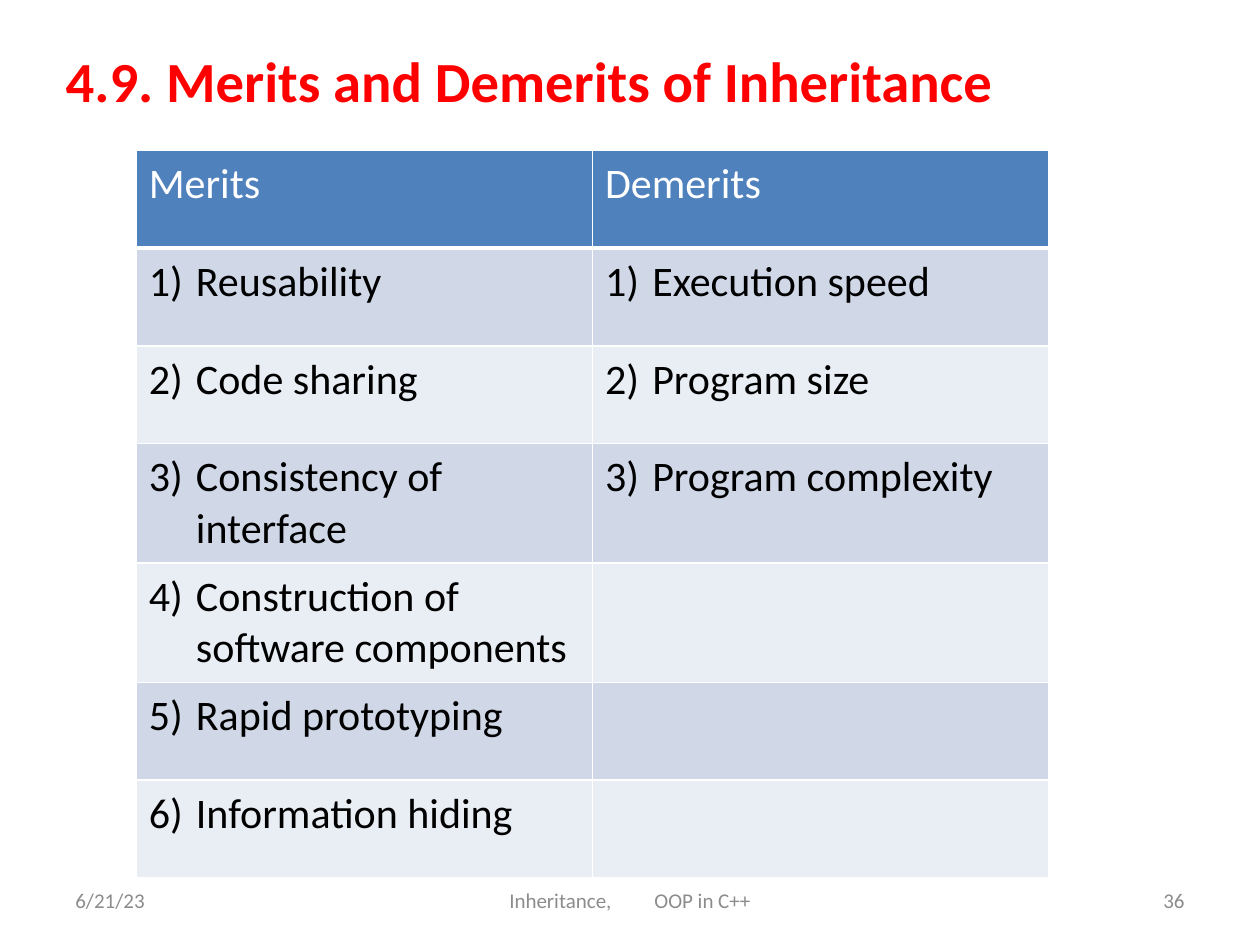
"""Build a slide with a table of the merits and demerits of inheritance."""
from itertools import product, zip_longest

from lxml.etree import SubElement
from pptx import Presentation
from pptx.dml.color import RGBColor
from pptx.enum.text import MSO_ANCHOR as Anchor, MSO_AUTO_SIZE as AutoSize, PP_ALIGN as Align
from pptx.oxml.ns import qn
from pptx.util import Cm, Pt

TITLE = "4.9. Merits and Demerits of Inheritance"
HEADERS = ("Merits", "Demerits")
MERITS = (
    "Reusability",
    "Code sharing",
    "Consistency of interface",
    "Construction of software components",
    "Rapid prototyping",
    "Information hiding",
)
DEMERITS = ("Execution speed", "Program size", "Program complexity")
FOOTERS = (
    (("6/21/23",), 1.27, 5.93, Align.LEFT),
    (("36",), 18.2, 5.93, Align.RIGHT),
    (("Inheritance,", " ", "OOP in C++"), 8.68, 8.04, Align.CENTER),
)
FOOTER_GAP = Pt(21.7)

FONT = "Calibri"
RED = RGBColor(0xFF, 0x00, 0x00)
WHITE = RGBColor(0xFF, 0xFF, 0xFF)
BLACK = RGBColor(0x00, 0x00, 0x00)
GREY = RGBColor(0x8C, 0x8C, 0x8C)
BLUE = RGBColor(0x4F, 0x81, 0xBD)
BANDS = (RGBColor(0xE9, 0xED, 0xF4), RGBColor(0xD0, 0xD8, 0xE8))

ROW_HEIGHT, TALL_ROW_HEIGHT, TALL_ROW = Cm(1.97), Cm(2.37), 4
COLUMN_WIDTH = Cm(9.2)
HANGING = Cm(0.95)


def add_span(para, text, size, color, bold=False):
    span = para.add_run()
    span.text = text
    font = span.font
    font.name, font.size, font.bold = FONT, Pt(size), bold
    font.color.rgb = color
    return span


def add_border(cell, side, width):
    line = SubElement(cell._tc.get_or_add_tcPr(), qn(f"a:ln{side}"), w=str(Pt(width)))
    fill = SubElement(line, qn("a:solidFill"))
    SubElement(fill, qn("a:srgbClr"), val=str(WHITE))


def number_para(para, number):
    properties = para._p.get_or_add_pPr()
    properties.set("marL", str(HANGING))
    properties.set("indent", str(-HANGING))
    SubElement(properties, qn("a:buFont"), typeface="+mj-lt")
    SubElement(properties, qn("a:buAutoNum"), type="arabicParenR", startAt=str(number))


def add_title(page):
    box = page.shapes.title
    box.left, box.top, box.width, box.height = Cm(1.07), Cm(0.76), Cm(23.5), Cm(1.7)
    frame = box.text_frame
    frame.auto_size, frame.vertical_anchor = AutoSize.NONE, Anchor.MIDDLE
    para = frame.paragraphs[0]
    para.alignment = Align.LEFT
    add_span(para, TITLE, 32.4, RED, bold=True)


def add_comparison(page):
    rows = [HEADERS, *zip_longest(MERITS, DEMERITS)]
    height = ROW_HEIGHT * (len(rows) - 1) + TALL_ROW_HEIGHT
    table = page.shapes.add_table(
        len(rows), len(HEADERS), Cm(2.75), Cm(3.03), COLUMN_WIDTH * len(HEADERS), height
    ).table
    for column in table.columns:
        column.width = COLUMN_WIDTH
    for index, row in enumerate(table.rows):
        row.height = TALL_ROW_HEIGHT if index == TALL_ROW else ROW_HEIGHT

    for number, column in product(range(len(rows)), range(len(HEADERS))):
        cell = table.cell(number, column)
        cell.margin_left = cell.margin_right = Cm(0.25)
        cell.margin_top = cell.margin_bottom = Cm(0.17)
        is_header = number == 0
        for side in "LRTB":
            add_border(cell, side, 3 if is_header and side == "B" else 1)
        cell.fill.solid()
        cell.fill.fore_color.rgb = BLUE if is_header else BANDS[number % 2]
        text = rows[number][column]
        if text:
            para = cell.text_frame.paragraphs[0]
            add_span(para, text, 24, WHITE if is_header else BLACK)
            if not is_header:
                number_para(para, number)


def add_footer(page, texts, left, width, alignment):
    box = page.shapes.add_textbox(Cm(left), Cm(17.65), Cm(width), Cm(1.01))
    frame = box.text_frame
    frame.word_wrap, frame.vertical_anchor = True, Anchor.MIDDLE
    para = frame.paragraphs[0]
    para.alignment = alignment
    for text in texts:
        span = add_span(para, text, 12, GREY)
        if text == " ":
            span._r.get_or_add_rPr().set("spc", str(round(FOOTER_GAP.pt * 100)))


def main():
    deck = Presentation()
    deck.slide_width, deck.slide_height = Cm(25.4), Cm(19.05)
    page = deck.slides.add_slide(deck.slide_layouts[5])
    add_title(page)
    add_comparison(page)
    for footer in FOOTERS:
        add_footer(page, *footer)
    deck.save("out.pptx")


if __name__ == "__main__":
    main()
